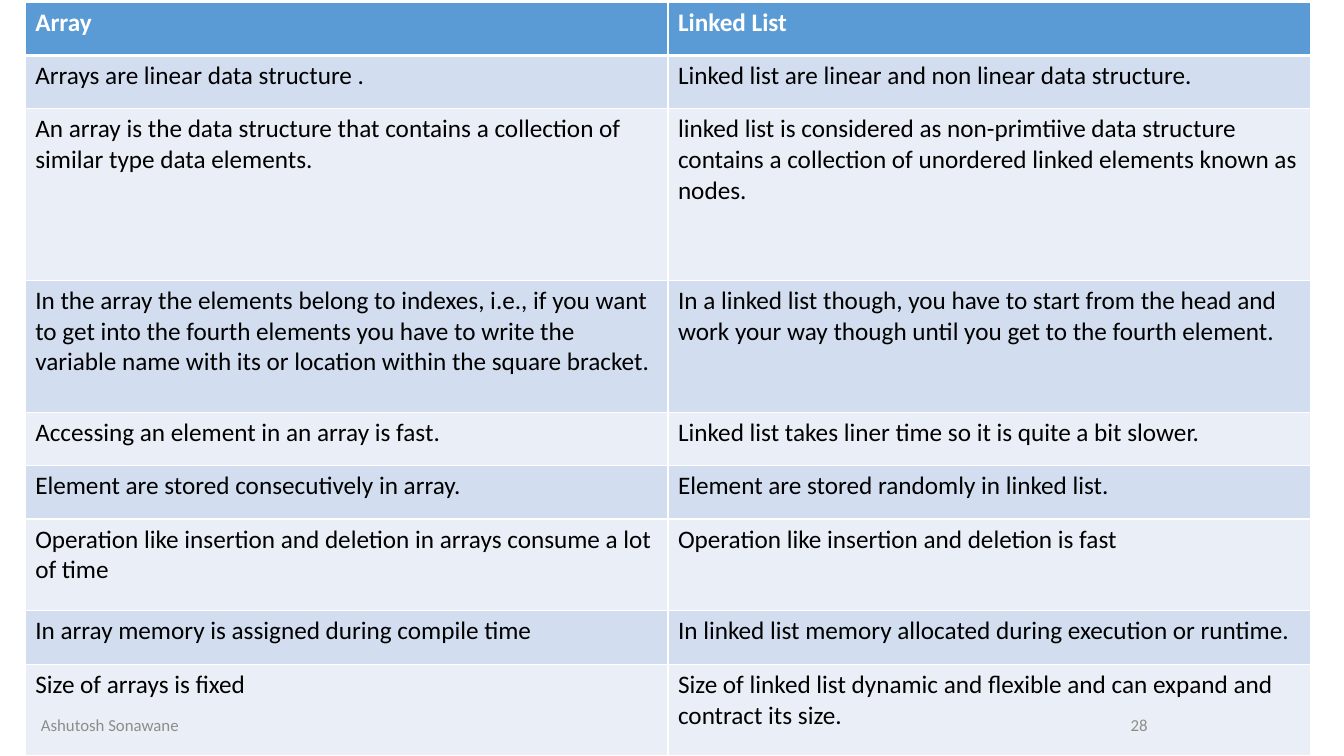
from lxml import etree
from pptx import Presentation
from pptx.dml.color import RGBColor
from pptx.enum.text import MSO_ANCHOR, PP_ALIGN
from pptx.oxml.ns import qn
from pptx.util import Inches, Pt

MIDDLE = MSO_ANCHOR.MIDDLE
CENTER = PP_ALIGN.CENTER
RIGHT = PP_ALIGN.RIGHT
COLORS = {
    "header": "5B9BD5",
    "odd_row": "D2DEEF",
    "even_row": "EAEFF7",
    "white": "FFFFFF",
    "black": "000000",
    "footer": "8C8C8C",
}
HEADER_FONT = {"name": "Calibri", "size": Pt(18), "bold": True}
BODY_FONT = {"name": "Calibri", "size": Pt(18), "bold": False}
FOOTER_FONT = {"name": "Calibri", "size": Pt(12)}
ROW_HEIGHTS = [0.53, 0.53, 1.7, 1.31, 0.53, 0.53, 0.91, 0.53, 0.91]
COMPARISON = [
    ("Array", "Linked List"),
    ("Arrays are linear data structure .",
     "Linked list are linear and non linear data structure."),
    ("An array is the data structure that contains a collection of similar type data elements.",
     "linked list is considered as non-primtiive data structure contains a collection of "
     "unordered linked elements known as nodes."),
    ("In the array the elements belong to indexes, i.e., if you want to get into the fourth "
     "elements you have to write the variable name with its or location within the square bracket.",
     "In a linked list though, you have to start from the head and work your way though until "
     "you get to the fourth element."),
    ("Accessing an element in an array is fast.",
     "Linked list takes liner time so it is quite a bit slower."),
    ("Element are stored consecutively in array.",
     "Element are stored randomly in linked list."),
    ("Operation like insertion and deletion in arrays consume a lot of time",
     "Operation like insertion and deletion is fast"),
    ("In array memory is assigned during compile time",
     "In linked list memory allocated during execution or runtime."),
    ("Size of arrays is fixed",
     "Size of linked list dynamic and flexible and can expand and contract its size."),
]


def write_text(paragraph, text, font_values, color):
    run = paragraph.add_run()
    run.text = text
    for name, value in font_values.items():
        setattr(run.font, name, value)
    run.font.color.rgb = RGBColor.from_string(COLORS[color])


def set_borders(cell, widths):
    properties = cell._tc.get_or_add_tcPr()
    for index, (side, width) in enumerate(widths.items()):
        line = etree.Element(qn(f"a:{side}"), w=str(Pt(width)))
        fill = etree.SubElement(line, qn("a:solidFill"))
        etree.SubElement(fill, qn("a:srgbClr"), val=COLORS["white"])
        properties.insert(index, line)


def add_comparison_table(slide):
    frame = slide.shapes.add_table(
        len(COMPARISON), 2, Inches(0.25), Inches(0.02), Inches(12.75), Inches(7.48))
    table = frame.table
    for row_index, (texts, height) in enumerate(zip(COMPARISON, ROW_HEIGHTS)):
        table.rows[row_index].height = Inches(height)
        is_header = row_index == 0
        row_color = "header" if is_header else "odd_row" if row_index % 2 else "even_row"
        font_values = HEADER_FONT if is_header else BODY_FONT
        text_color = "white" if is_header else "black"
        top = 3 if row_index == 1 else 1
        bottom = 3 if is_header else 1
        for column_index, text in enumerate(texts):
            cell = table.cell(row_index, column_index)
            cell.fill.solid()
            cell.fill.fore_color.rgb = RGBColor.from_string(COLORS[row_color])
            set_borders(cell, {"lnL": 1, "lnR": 1, "lnT": top, "lnB": bottom})
            write_text(cell.text_frame.paragraphs[0], text, font_values, text_color)


def add_footer_text(slide, text, left, width, alignment):
    shape = slide.shapes.add_textbox(Inches(left), Inches(6.99), Inches(width), Inches(0.4))
    shape.text_frame.word_wrap = True
    shape.text_frame.vertical_anchor = MIDDLE
    paragraph = shape.text_frame.paragraphs[0]
    paragraph.alignment = alignment
    write_text(paragraph, text, FOOTER_FONT, "footer")


def main():
    presentation = Presentation()
    presentation.slide_width = Inches(13.33)
    presentation.slide_height = Inches(7.5)
    slide = presentation.slides.add_slide(presentation.slide_layouts[6])
    add_comparison_table(slide)
    add_footer_text(slide, "Ashutosh Sonawane", 0.24, 1.7, CENTER)
    add_footer_text(slide, "28", 8.48, 3, RIGHT)
    presentation.save("out.pptx")


if __name__ == "__main__":
    main()
